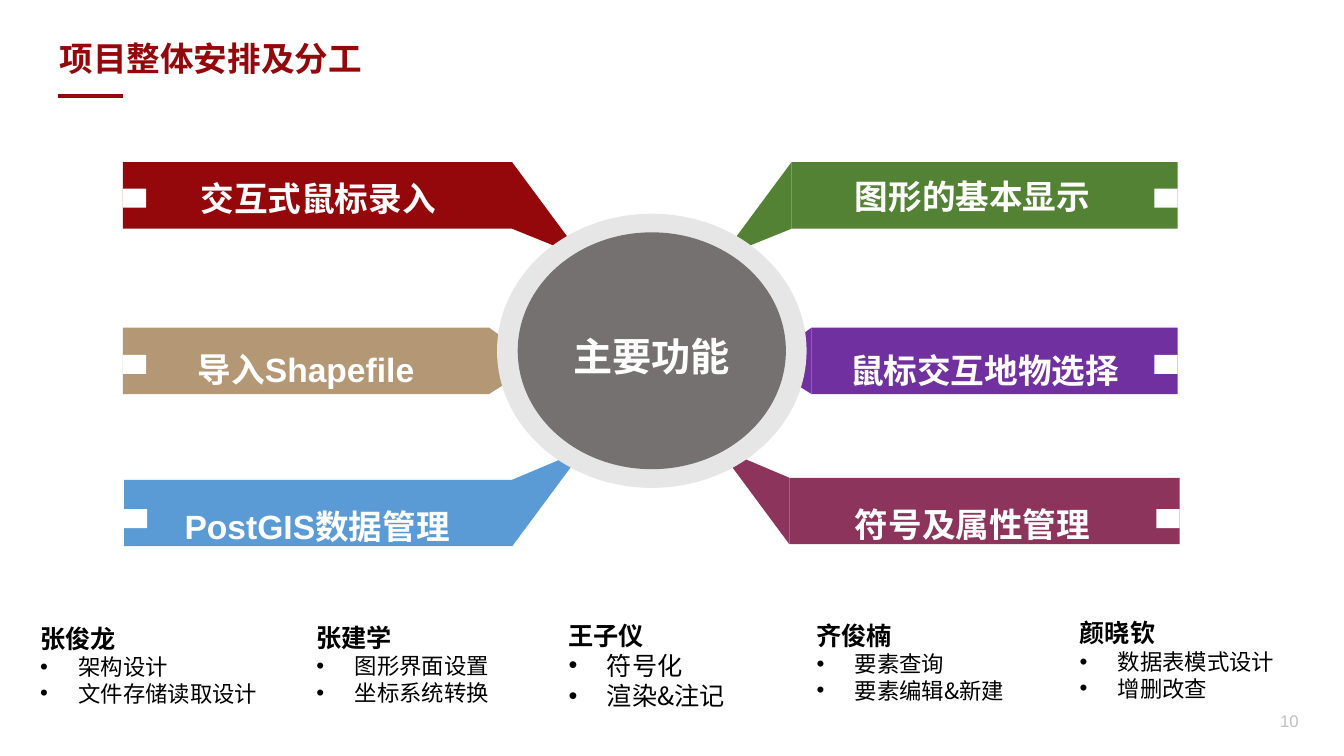
from pptx import Presentation
from pptx.dml.color import RGBColor
from pptx.enum.shapes import MSO_CONNECTOR as Conn, MSO_SHAPE as Shape
from pptx.enum.text import MSO_ANCHOR as Anchor, MSO_AUTO_SIZE as Auto, PP_ALIGN as Align
from pptx.oxml.ns import qn
from pptx.util import Inches, Pt
from lxml.etree import SubElement

SANS, CJK = "Arial", "Noto Sans CJK SC"
RED, WHITE, BLACK = "94070A", "FFFFFF", "000000"
TITLE, PAGE, HUB = "项目整体安排及分工", "10", "主要功能"

ROWS = [
    (1.87, [(0.6, 0.81), (0.52, 0.87)]),
    (3.52, [(0.4, 0.29), (0.4, 0.41)]),
    (5.05, [(0.52, -0.22), (0.6, -0.15)]),
]
# fields: row, side, left, top, width, colour, label, label left, label top
BANNERS = [
    (1, -1, 8.05, 3.25, 3.63, "7030A0", "鼠标交互地物选择", 8.26, 3.3),
    (1, 1, 1.22, 3.25, 3.63, "B49875", "导入Shapefile", 1.53, 3.29),
    (0, -1, 7.85, 1.61, 3.83, "548235", "图形的基本显示", 8.14, 1.58),
    (0, 1, 1.22, 1.61, 3.86, RED, "交互式鼠标录入", 1.65, 1.6),
    (2, -1, 7.83, 4.74, 3.87, "8C345C", "符号及属性管理", 8.14, 4.83),
    (2, 1, 1.23, 4.76, 3.85, "5B9BD5", "PostGIS数据管理", 1.64, 4.85),
]
BANNER_H, NOTCH_W, NOTCH_H = 0.66, 0.23, 0.19
HUB_X, HUB_Y = 6.465, 3.48
RINGS = [(3.07, 2.72, "E7E6E6"), (2.66, 2.35, "767171")]

MEMBERS = [
    (0.3, 6.13, 3.75, 16, SANS, "张俊龙", ["架构设计", "文件存储读取设计"]),
    (3.04, 6.12, 3.75, 16, CJK, "张建学", ["图形界面设置", "坐标系统转换"]),
    (5.54, 6.1, 3.75, 18, CJK, "王子仪", ["符号化", "渲染&注记"]),
    (8, 6.1, 3.75, 16, CJK, "齐俊楠", ["要素查询", "要素编辑&新建"]),
    (10.61, 6.08, 2.55, 16, CJK, "颜晓钦", ["数据表模式设计", "增删改查"]),
]

prs = Presentation()
prs.slide_width, prs.slide_height = Inches(13.33), Inches(7.5)
s = prs.slides.add_slide(prs.slide_layouts[5])


def rgb(value):
    return RGBColor.from_string(value)


def paint(sp, colour):
    sp.shadow.inherit = False
    sp.fill.solid()
    sp.fill.fore_color.rgb = rgb(colour)
    sp.line.fill.background()
    return sp


def block(kind, x, y, w, h, colour):
    return paint(s.shapes.add_shape(kind, *map(Inches, (x, y, w, h))), colour)


def polygon(points, colour):
    first, *rest = [(Inches(x), Inches(y)) for x, y in points]
    outline = s.shapes.build_freeform(*first)
    outline.add_line_segments(rest, close=True)
    return paint(outline.convert_to_shape(), colour)


def add_run(p, text, size, font, colour, bold=False):
    r = p.add_run()
    r.text = text
    f = r.font
    f.size, f.name, f.bold = Pt(size), font, bold
    f.color.rgb = rgb(colour)
    SubElement(r._r.get_or_add_rPr(), qn("a:ea")).set("typeface", CJK)


def text_box(x, y, w, h):
    tf = s.shapes.add_textbox(*map(Inches, (x, y, w, h))).text_frame
    tf.word_wrap = True
    return tf


def add_bullet(p):
    pPr = p._p.get_or_add_pPr()
    pPr.set("marL", str(Inches(0.38)))
    pPr.set("indent", str(Inches(-0.38)))
    SubElement(pPr, qn("a:buFont")).set("typeface", SANS)
    SubElement(pPr, qn("a:buChar")).set("char", "•")


def add_title():
    sp = s.shapes.title
    sp.left, sp.top, sp.width, sp.height = map(Inches, (0.49, 0.33, 5.04, 0.5))
    tf = sp.text_frame
    tf.auto_size, tf.vertical_anchor = Auto.NONE, Anchor.TOP
    p = tf.paragraphs[0]
    p.alignment = Align.LEFT
    add_run(p, TITLE, 24, CJK, RED, True)
    rule = s.shapes.add_connector(Conn.STRAIGHT, *map(Inches, (0.58, 0.95, 1.22, 0.95)))
    rule.line.color.rgb, rule.line.width = rgb(RED), Pt(3)
    SubElement(rule._element.spPr, qn("a:effectLst"))


def add_page_number():
    tf = text_box(9.98, 6.95, 3, 0.4)
    tf.vertical_anchor = Anchor.MIDDLE
    p = tf.paragraphs[0]
    p.alignment = Align.RIGHT
    add_run(p, PAGE, 12, SANS, "BFBFBF")


def add_banner(row, side, x, y, w, colour, label, label_x, label_y):
    notch_y, tips = ROWS[row]
    root = x + w if side > 0 else x
    outer = x if side > 0 else x + w - NOTCH_W
    block(Shape.RECTANGLE, x, y, w, BANNER_H, colour)
    tail = [(0, 0), *tips, (0, BANNER_H)]
    polygon([(root + side * dx, y + dy) for dx, dy in tail], colour)
    block(Shape.RECTANGLE, outer, notch_y, NOTCH_W, NOTCH_H, WHITE)
    tf = text_box(label_x, label_y, 3.01, 0.39)
    tf.margin_left = tf.margin_right = 0
    p = tf.paragraphs[0]
    p.alignment, p.line_spacing, p.space_before = Align.CENTER, 1.3, Pt(4.8)
    add_run(p, label, 24, SANS, WHITE, True)


def add_hub():
    for w, h, colour in RINGS:
        sp = block(Shape.OVAL, HUB_X - w / 2, HUB_Y - h / 2, w, h, colour)
    tf = sp.text_frame
    tf.vertical_anchor = Anchor.MIDDLE
    p = tf.paragraphs[0]
    p.alignment, p.line_spacing = Align.CENTER, 1.2
    add_run(p, HUB, 28, SANS, WHITE, True)


def add_member(x, y, w, size, font, name, tasks):
    tf = text_box(x, y, w, 1.01 if size == 18 else 0.94)
    add_run(tf.paragraphs[0], name, 18, font, BLACK, True)
    for task in tasks:
        p = tf.add_paragraph()
        add_bullet(p)
        add_run(p, task, size, CJK, BLACK)


add_title()
add_page_number()
for banner in BANNERS:
    add_banner(*banner)
add_hub()
for member in MEMBERS:
    add_member(*member)

prs.save("out.pptx")
